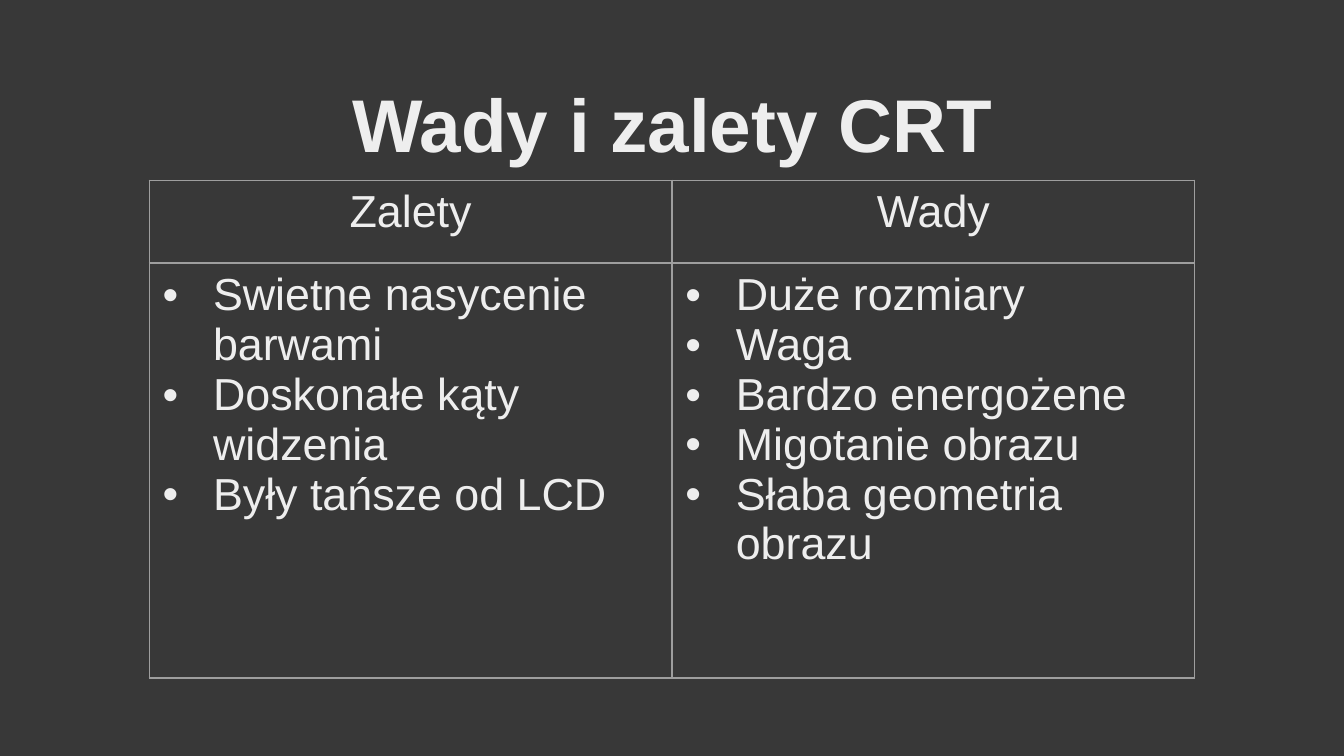
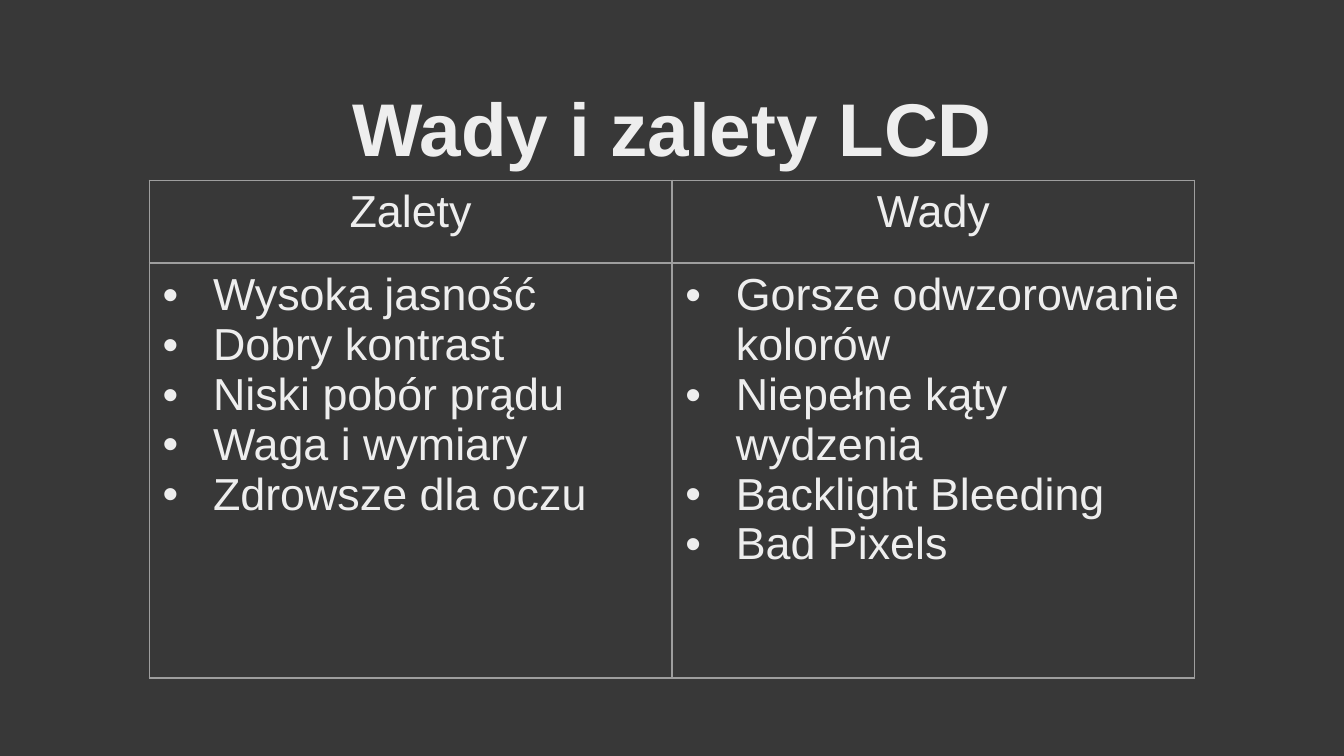
from pptx import Presentation
from pptx.dml.color import RGBColor
from pptx.enum.text import MSO_ANCHOR, MSO_AUTO_SIZE, PP_ALIGN
from pptx.oxml.ns import qn
from pptx.util import Pt
from lxml import etree

CENTER = PP_ALIGN.CENTER
LEFT = PP_ALIGN.LEFT
TOP = MSO_ANCHOR.TOP
NO_AUTOFIT = MSO_AUTO_SIZE.NONE

COLORS = {"background": "383838", "text": "EEEEEE", "border": "9E9E9E"}
FONT = "Arial"
TITLE_ONLY = 5
HEADERS = ("Zalety", "Wady")

COMPARISONS = [
    (
        "Wady i zalety CRT",
        29.5,
        ["Swietne nasycenie barwami", "Doskonałe kąty widzenia", "Były tańsze od LCD"],
        ["Duże rozmiary", "Waga", "Bardzo energożene", "Migotanie obrazu",
         "Słaba geometria obrazu"],
    ),
    (
        "Wady i zalety LCD",
        31.7,
        ["Wysoka jasność", "Dobry kontrast", "Niski pobór prądu", "Waga i wymiary",
         "Zdrowsze dla oczu"],
        ["Gorsze odwzorowanie kolorów", "Niepełne kąty wydzenia", "Backlight Bleeding",
         "Bad Pixels"],
    ),
]


class ComparisonDeck:
    """Holds the deck style and the slide being built."""

    def __init__(self):
        self.deck = Presentation()
        self.deck.slide_width = Pt(720)
        self.deck.slide_height = Pt(405)
        self.slide = None
        fill = self.deck.slide_master.background.fill
        fill.solid()
        fill.fore_color.rgb = RGBColor.from_string(COLORS["background"])

    def add_slide(self):
        self.slide = self.deck.slides.add_slide(self.deck.slide_layouts[TITLE_ONLY])

    def add_span(self, para, text, size, bold=False):
        span = para.add_run()
        span.text = text
        span.font.name = FONT
        span.font.size = Pt(size)
        span.font.bold = bold
        span.font.color.rgb = RGBColor.from_string(COLORS["text"])

    def add_title(self, text, top):
        box = self.slide.shapes.title
        box.left, box.top, box.width, box.height = Pt(155.5), Pt(top), Pt(409), Pt(41.8)
        frame = box.text_frame
        frame.word_wrap = True
        frame.auto_size = NO_AUTOFIT
        frame.vertical_anchor = TOP
        frame.margin_left = frame.margin_right = frame.margin_bottom = Pt(7.2)
        frame.margin_top = Pt(12)
        para = frame.paragraphs[0]
        para.alignment = CENTER
        self.add_span(para, text, 40, bold=True)

    def add_bullet(self, para):
        properties = para._p.get_or_add_pPr()
        properties.set("marL", str(Pt(27)))
        properties.set("indent", str(-Pt(27)))
        color = etree.SubElement(properties, qn("a:buClr"))
        etree.SubElement(color, qn("a:srgbClr"), val=COLORS["text"])
        etree.SubElement(properties, qn("a:buFont"), typeface=FONT)
        etree.SubElement(properties, qn("a:buChar"), char="•")

    def add_borders(self, cell):
        properties = cell._tc.get_or_add_tcPr()
        for index, side in enumerate(("a:lnL", "a:lnR", "a:lnT", "a:lnB")):
            line = etree.Element(qn(side), w=str(Pt(0.75)))
            fill = etree.SubElement(line, qn("a:solidFill"))
            etree.SubElement(fill, qn("a:srgbClr"), val=COLORS["border"])
            properties.insert(index, line)

    def fill_cell(self, cell, lines, bulleted):
        cell.fill.background()
        self.add_borders(cell)
        frame = cell.text_frame
        for index, text in enumerate(lines):
            para = frame.add_paragraph() if index else frame.paragraphs[0]
            para.alignment = LEFT if bulleted else CENTER
            if bulleted:
                self.add_bullet(para)
            self.add_span(para, text, 24)

    def add_table(self, columns):
        frame = self.slide.shapes.add_table(
            2, len(columns), Pt(79.9), Pt(96.5), Pt(560.2), Pt(266.7))
        table = frame.table
        table.first_row = False
        table.horz_banding = False
        for row, height in zip(table.rows, (44.4, 222.3)):
            row.height = Pt(height)
        for index, (header, items) in enumerate(zip(HEADERS, columns)):
            table.columns[index].width = Pt(280.1)
            self.fill_cell(table.cell(0, index), [header], bulleted=False)
            self.fill_cell(table.cell(1, index), items, bulleted=True)

    def save(self):
        self.deck.save("out.pptx")


def main():
    builder = ComparisonDeck()
    for title, top, advantages, drawbacks in COMPARISONS:
        builder.add_slide()
        builder.add_title(title, top)
        builder.add_table((advantages, drawbacks))
    builder.save()


if __name__ == "__main__":
    main()
